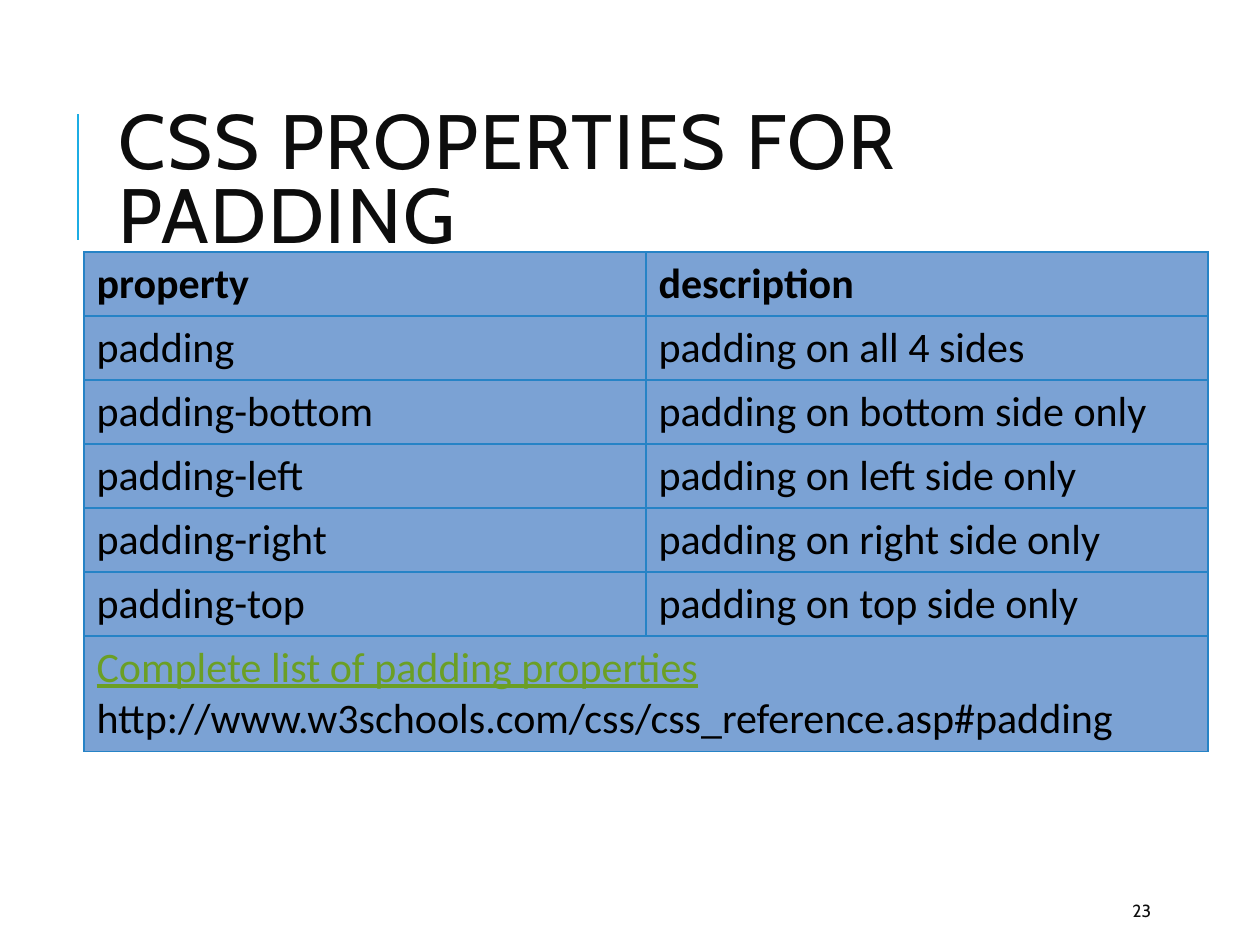
from typing import NamedTuple

from lxml.etree import SubElement
from pptx import Presentation
from pptx.dml.color import RGBColor
from pptx.enum.shapes import MSO_CONNECTOR
from pptx.enum.text import MSO_ANCHOR, MSO_AUTO_SIZE, PP_ALIGN
from pptx.oxml import parse_xml
from pptx.oxml.ns import nsdecls, qn
from pptx.util import Emu, Pt

COLORS = {
    "accent": "1CADE4",
    "border": "2683C6",
    "cell": "7BA2D4",
    "ink": "0D0D0D",
    "black": "000000",
    "link": "6B9F25",
}
PX_PER_INCH = 126
ROW_HEIGHT, FOOTER_HEIGHT = 64, 115


class Box(NamedTuple):
    left: int
    top: int
    width: int
    height: int


class Property(NamedTuple):
    name: str
    description: str


TITLE_BOX = Box(106, 81, 1004, 206)
TABLE_BOX = Box(84, 252, 1124, 491)
NUMBER_BOX = Box(1120, 892, 101, 38)
ROWS = [
    Property("property", "description"),
    Property("padding", "padding on all 4 sides"),
    *(
        Property(f"padding-{side}", f"padding on {side} side only")
        for side in ("bottom", "left", "right", "top")
    ),
]
FOOTER = [
    "Complete list of padding properties",
    "http://www.w3schools.com/css/css_reference.asp#padding",
]


def px(value: int) -> Emu:
    return Emu(round(value * 914400 / PX_PER_INCH))


def color(name: str) -> RGBColor:
    return RGBColor.from_string(COLORS[name])


def set_font(para, name: str, size: int, ink: str, bold: bool = False) -> None:
    font = para.font
    font.name, font.size, font.bold = name, Pt(size), bold
    font.color.rgb = color(ink)


def style_cell(cell) -> None:
    """Give a cell its fill, anchor and four thin borders."""
    cell.vertical_anchor = MSO_ANCHOR.MIDDLE
    cell.fill.solid()
    cell.fill.fore_color.rgb = color("cell")
    props = cell._tc.get_or_add_tcPr()
    for index, side in enumerate(("lnL", "lnR", "lnT", "lnB")):
        border = parse_xml(
            f'<a:{side} {nsdecls("a")} w="{Pt(0.75)}"><a:solidFill>'
            f'<a:srgbClr val="{COLORS["border"]}"/></a:solidFill></a:{side}>'
        )
        props.insert(index, border)


def add_title(page, text: str) -> None:
    title = page.shapes.title
    title.left, title.top, title.width, title.height = map(px, TITLE_BOX)
    frame = title.text_frame
    frame.text = text
    frame.word_wrap = True
    frame.auto_size = MSO_AUTO_SIZE.NONE
    frame.vertical_anchor = MSO_ANCHOR.MIDDLE
    para = frame.paragraphs[0]
    para.alignment = PP_ALIGN.LEFT
    para.line_spacing = 0.8
    set_font(para, "Cabin", 44, "ink")
    para.runs[0]._r.get_or_add_rPr().set("spc", "100")


def add_accent_line(page) -> None:
    line = page.shapes.add_connector(
        MSO_CONNECTOR.STRAIGHT, px(78), px(240), px(78), px(114)
    )
    line.line.color.rgb = color("accent")
    line.line.width = Pt(1.5)
    SubElement(line._element.spPr, qn("a:effectLst"))


def add_property_table(page) -> None:
    table = page.shapes.add_table(len(ROWS) + 1, 2, *map(px, TABLE_BOX)).table
    for column in table.columns:
        column.width = px(TABLE_BOX.width // 2)
    for row in table.rows:
        row.height = px(ROW_HEIGHT)
    table.rows[len(ROWS)].height = px(FOOTER_HEIGHT)
    for cell in table.iter_cells():
        style_cell(cell)

    for row_index, entry in enumerate(ROWS):
        for column_index, text in enumerate(entry):
            frame = table.cell(row_index, column_index).text_frame
            frame.text = text
            set_font(frame.paragraphs[0], "Calibri", 24, "black", row_index == 0)

    footer = table.cell(len(ROWS), 0)
    footer.merge(table.cell(len(ROWS), 1))
    footer.text_frame.text = "\n".join(FOOTER)
    for para, ink in zip(footer.text_frame.paragraphs, ("link", "black")):
        set_font(para, "Calibri", 24, ink)
        para.font.underline = ink == "link"


def add_page_number(page, text: str) -> None:
    frame = page.shapes.add_textbox(*map(px, NUMBER_BOX)).text_frame
    frame.text = text
    frame.word_wrap = True
    frame.vertical_anchor = MSO_ANCHOR.MIDDLE
    set_font(frame.paragraphs[0], "Cabin", 10, "ink")


def main() -> None:
    deck = Presentation()
    deck.slide_width, deck.slide_height = px(1260), px(945)
    page = deck.slides.add_slide(deck.slide_layouts[5])
    add_accent_line(page)
    add_title(page, "CSS PROPERTIES FOR PADDING")
    add_property_table(page)
    add_page_number(page, "23")
    deck.save("out.pptx")


if __name__ == "__main__":
    main()
